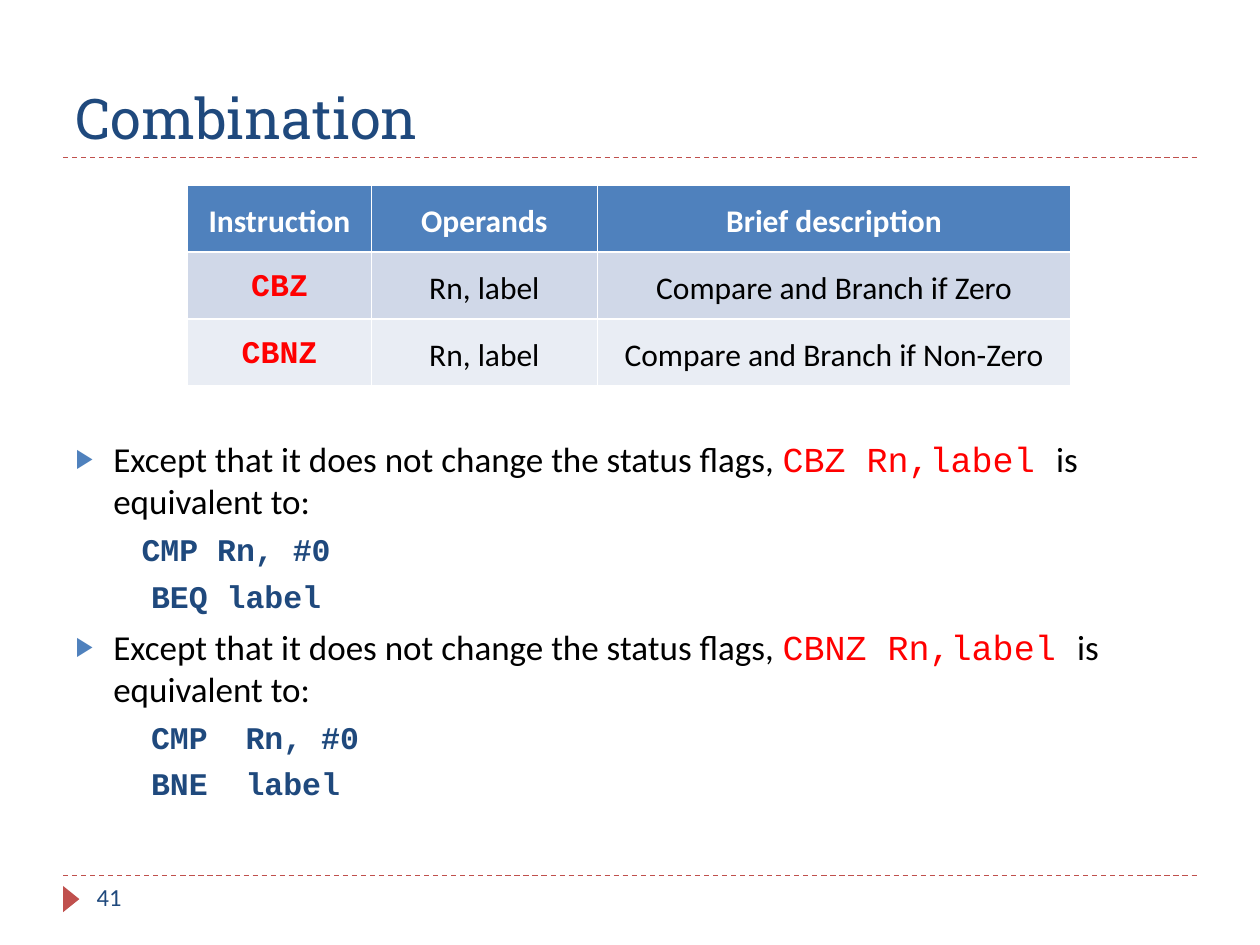
import pptx
import pptx.util
import pptx.dml.color
import pptx.enum.dml
import pptx.enum.shapes
import pptx.enum.text
import pptx.oxml.ns
import lxml.etree

Cm, Pt = pptx.util.Cm, pptx.util.Pt
RGBColor = pptx.dml.color.RGBColor
Align = pptx.enum.text.PP_ALIGN
Anchor = pptx.enum.text.MSO_ANCHOR
qn = pptx.oxml.ns.qn

NAVY = RGBColor(0x1F, 0x49, 0x7D)
BLUE = RGBColor(0x4F, 0x81, 0xBD)
BRICK = RGBColor(0xC0, 0x50, 0x4D)
RED = RGBColor(0xFF, 0x00, 0x00)
BLACK = RGBColor(0x00, 0x00, 0x00)
WHITE = RGBColor(0xFF, 0xFF, 0xFF)
ROW_FILLS = [BLUE, RGBColor(0xD0, 0xD8, 0xE8), RGBColor(0xE9, 0xED, 0xF4)]
SANS, MONO, SLAB = "Calibri", "Courier New", "Roboto Slab"


def add_span(para, text, size, color, font=SANS, bold=False):
    span = para.add_run()
    span.text = text
    span.font.name = font
    span.font.size = Pt(size)
    span.font.bold = bold
    span.font.color.rgb = color


def set_bullet(para, left, hanging, char=None):
    props = para._p.get_or_add_pPr()
    props.set("marL", str(Cm(left)))
    props.set("indent", str(-Cm(hanging)))
    if char is None:
        lxml.etree.SubElement(props, qn("a:buNone"))
        return
    tint = lxml.etree.SubElement(props, qn("a:buClr"))
    lxml.etree.SubElement(tint, qn("a:srgbClr"), val=str(BLUE))
    lxml.etree.SubElement(props, qn("a:buSzPct"), val="76000")
    lxml.etree.SubElement(props, qn("a:buChar"), char=char)


deck = pptx.Presentation()
deck.slide_width, deck.slide_height = Cm(25.4), Cm(19.05)
page = deck.slides.add_slide(deck.slide_layouts[1])

# Dashed rules under the title and above the footer
for y in (3.18, 17.65):
    rule = page.shapes.add_connector(
        pptx.enum.shapes.MSO_CONNECTOR.STRAIGHT, Cm(1.27), Cm(y), Cm(24.13), Cm(y))
    rule.line.color.rgb = BRICK
    rule.line.width = Pt(0.75)
    rule.line.dash_style = pptx.enum.dml.MSO_LINE.DASH
    lxml.etree.SubElement(rule._element.spPr, qn("a:effectLst"))

# Footer marker and page number
marker = page.shapes.add_shape(
    pptx.enum.shapes.MSO_SHAPE.ISOSCELES_TRIANGLE, Cm(1.17), Cm(17.96), Cm(0.53), Cm(0.33))
marker.rotation = 90
marker.shadow.inherit = False
marker.fill.solid()
marker.fill.fore_color.rgb = BRICK
marker.line.fill.background()

number_box = page.shapes.add_textbox(Cm(1.7), Cm(17.65), Cm(5.5), Cm(1.02))
number_box.text_frame.word_wrap = True
add_span(number_box.text_frame.paragraphs[0], "41", 14, NAVY)

# Title
title = page.shapes.title
title.left, title.top, title.width, title.height = Cm(1.27), Cm(0.43), Cm(22.86), Cm(2.74)
title.text_frame.vertical_anchor = Anchor.BOTTOM
title.text_frame.auto_size = pptx.enum.text.MSO_AUTO_SIZE.NONE
para = title.text_frame.paragraphs[0]
para.alignment = Align.LEFT
add_span(para, "Combination", 32, NAVY, SLAB)

# Instruction table
rows = [
    ("Instruction", "Operands", "Brief description"),
    ("CBZ", "Rn, label", "Compare and Branch if Zero"),
    ("CBNZ", "Rn, label", "Compare and Branch if Non-Zero"),
]
column_widths = [3.71, 4.55, 9.55]
table = page.shapes.add_table(
    len(rows), len(column_widths), Cm(3.78), Cm(3.73), Cm(sum(column_widths)), Cm(4.05)).table
for column, width in zip(table.columns, column_widths):
    column.width = Cm(width)
for r, texts in enumerate(rows):
    table.rows[r].height = Cm(1.35)
    for c, text in enumerate(texts):
        cell = table.cell(r, c)
        cell.fill.solid()
        cell.fill.fore_color.rgb = ROW_FILLS[r]
        cell.vertical_anchor = Anchor.MIDDLE
        cell.margin_left = cell.margin_right = Cm(0.18)
        cell.margin_top = cell.margin_bottom = 0
        para = cell.text_frame.paragraphs[0]
        para.alignment = Align.CENTER
        para.line_spacing = 1.15
        if r == 0:
            add_span(para, text, 18, WHITE, bold=True)
        elif c == 0:
            add_span(para, text, 18, RED, MONO, bold=True)
        else:
            add_span(para, text, 18, BLACK)

# Explanations, each followed by its equivalent code with left indents
explanations = [
    ("CBZ Rn,label ", [("CMP Rn, #0", 1.33), ("BEQ label", 1.52)]),
    ("CBNZ Rn,label ", [("CMP  Rn, #0", 1.52), ("BNE  label", 1.52)]),
]
body = page.placeholders[1]
body.left, body.top, body.width, body.height = Cm(1.27), Cm(8.69), Cm(22.86), Cm(8.43)
frame = body.text_frame
frame.auto_size = pptx.enum.text.MSO_AUTO_SIZE.NONE
for i, (instruction, code_lines) in enumerate(explanations):
    para = frame.add_paragraph() if i else frame.paragraphs[0]
    set_bullet(para, 0.76, 0.76, "▶")
    para.space_before = Pt(6 if i else 0)
    add_span(para, "Except that it does not change the status flags, ", 20, BLACK)
    add_span(para, instruction, 20, RED, MONO)
    add_span(para, "is equivalent to:", 20, BLACK)
    for code, indent in code_lines:
        para = frame.add_paragraph()
        para.level = 1
        set_bullet(para, indent, 0)
        para.space_before = Pt(5)
        add_span(para, code, 18, NAVY, MONO, bold=True)

deck.save("out.pptx")
